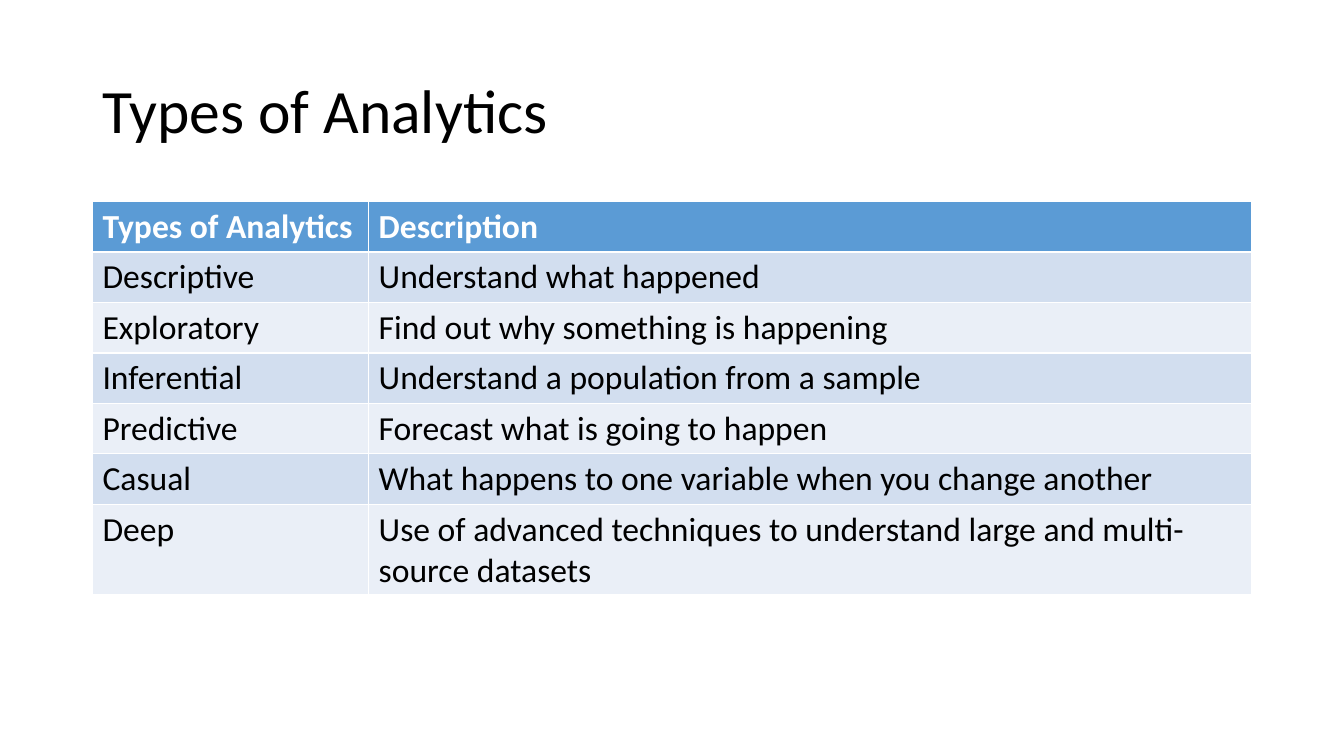
from dataclasses import dataclass
from pptx import Presentation as Deck
from pptx.dml.color import RGBColor as Rgb
from pptx.enum.text import MSO_ANCHOR as Anchor
from pptx.util import Cm, Pt

HUES = {
    "black": "000000",
    "white": "FFFFFF",
    "head": "5B9BD5",
    "dark": "D2DEEF",
    "light": "EAEFF7",
}
LEFT, WIDE = 2.33, 29.21
COLS = (6.96, 22.25)
HIGH = 1.04


@dataclass(frozen=True)
class Style:
    size: int
    hue: str
    bold: bool = False


@dataclass(frozen=True)
class Row:
    kind: str
    text: str


TITLE = Style(44, "black")
HEAD = Style(24, "white", True)
BODY = Style(24, "black")

ROWS = (
    Row("Types of Analytics", "Description"),
    Row("Descriptive", "Understand what happened"),
    Row("Exploratory", "Find out why something is happening"),
    Row("Inferential", "Understand a population from a sample"),
    Row("Predictive", "Forecast what is going to happen"),
    Row("Casual", "What happens to one variable when you change another"),
    Row("Deep", "Use of advanced techniques to understand large and multi-source datasets"),
)


def tint(name: str) -> Rgb:
    return Rgb.from_string(HUES[name])


def put(frame, text: str, style: Style) -> None:
    run = frame.paragraphs[0].add_run()
    run.text = text
    form = {"name": "Calibri", "size": Pt(style.size), "bold": style.bold}
    for key, value in form.items():
        setattr(run.font, key, value)
    run.font.color.rgb = tint(style.hue)


def add_title(slide) -> None:
    box = slide.shapes.add_textbox(Cm(LEFT), Cm(1.01), Cm(WIDE), Cm(3.68))
    frame = box.text_frame
    form = {"word_wrap": True, "vertical_anchor": Anchor.MIDDLE}
    for key, value in form.items():
        setattr(frame, key, value)
    put(frame, "Types of Analytics", TITLE)
    frame.paragraphs[0].line_spacing = 0.9


def add_grid(slide) -> None:
    grid = slide.shapes.add_table(
        len(ROWS), len(COLS), Cm(LEFT), Cm(5.08), Cm(WIDE), Cm(HIGH * len(ROWS))
    ).table
    for col, wide in zip(grid.columns, COLS):
        col.width = Cm(wide)
    for i, row in enumerate(ROWS):
        grid.rows[i].height = Cm(HIGH)
        style = BODY if i else HEAD
        band = ("light", "dark")[i % 2] if i else "head"
        for cell, text in zip(grid.rows[i].cells, (row.kind, row.text)):
            cell.fill.solid()
            cell.fill.fore_color.rgb = tint(band)
            put(cell.text_frame, text, style)


def main() -> None:
    deck = Deck()
    size = {"slide_width": Cm(33.87), "slide_height": Cm(19.05)}
    for key, value in size.items():
        setattr(deck, key, value)
    slide = deck.slides.add_slide(deck.slide_layouts[6])
    add_title(slide)
    add_grid(slide)
    deck.save("out.pptx")


if __name__ == "__main__":
    main()
